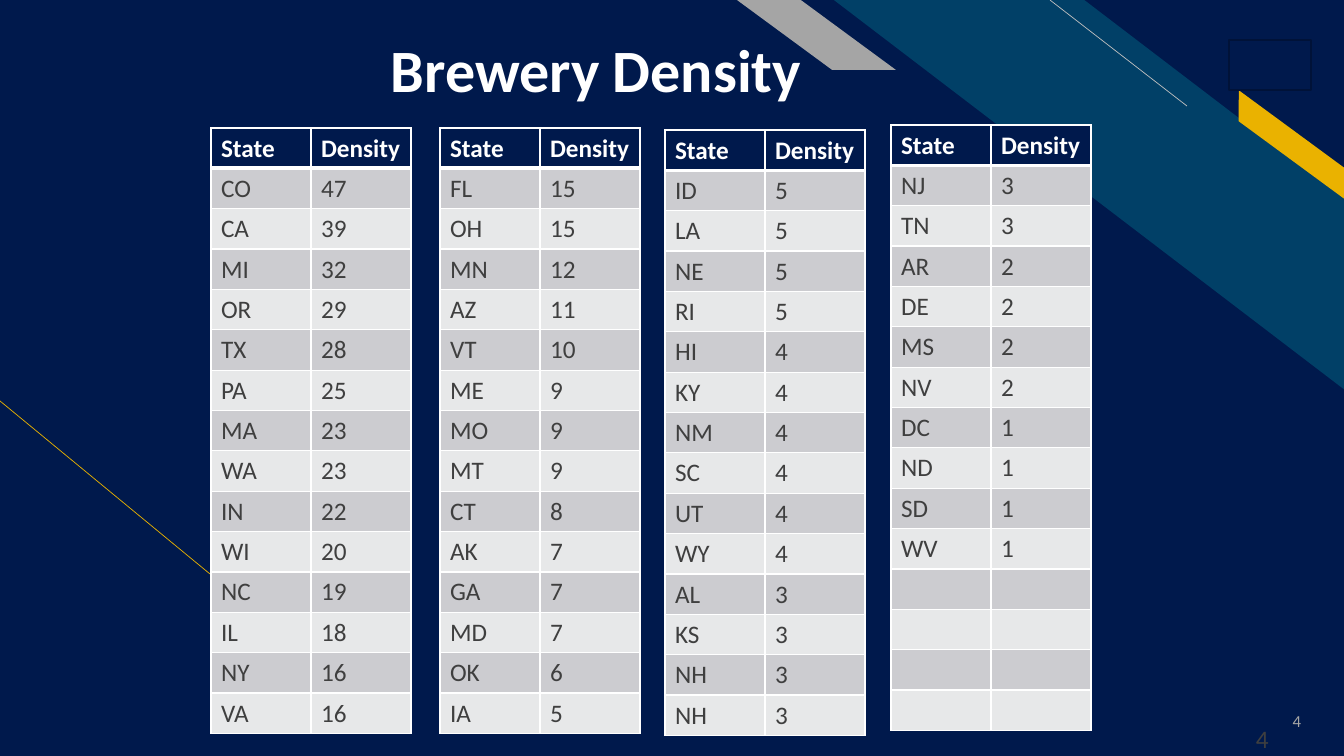
from dataclasses import dataclass

from lxml.etree import SubElement
from pptx import Presentation
from pptx.dml.color import RGBColor
from pptx.enum.shapes import MSO_CONNECTOR, MSO_SHAPE
from pptx.enum.text import MSO_ANCHOR, PP_ALIGN
from pptx.oxml import parse_xml
from pptx.oxml.ns import nsdecls, qn
from pptx.util import Emu, Pt

WIDTH, HEIGHT = 1344, 756
SCALE = 12192000 / WIDTH


@dataclass(frozen=True)
class Theme:
    font: str = "Calibri"
    navy: str = "00194C"
    navy_edge: str = "001238"
    teal: str = "014067"
    gold: str = "EAB200"
    gray: str = "A5A5A5"
    pale_gray: str = "BFBFBF"
    white: str = "FFFFFF"
    ink: str = "3F3F3F"
    bands: tuple = ("CCCCD0", "E7E8E9")
    title_size: float = 42.9
    body_size: float = 18
    number_size: float = 12
    hairline: float = 0.5
    border: float = 1
    header_rule: float = 3


def px(value):
    return Emu(round(value * SCALE))


def color(value):
    return RGBColor.from_string(value)


class SlideBuilder:
    def __init__(self, page, theme):
        self.page = page
        self.theme = theme

    def shape(self, kind, box, fill, adjust=None, flip=False, rotation=0, edge=None):
        shape = self.page.shapes.add_shape(kind, *map(px, box))
        shape.shadow.inherit = False
        shape.fill.solid()
        shape.fill.fore_color.rgb = color(fill)
        if edge:
            shape.line.color.rgb = color(edge)
            shape.line.width = Pt(self.theme.border)
        else:
            shape.line.fill.background()
        if adjust is not None:
            shape.adjustments[0] = adjust
        if flip:
            shape.element.spPr.xfrm.set("flipH", "1")
        shape.rotation = rotation

    def line(self, start, end, stroke):
        line = self.page.shapes.add_connector(
            MSO_CONNECTOR.STRAIGHT, *map(px, start + end))
        line.line.color.rgb = color(stroke)
        line.line.width = Pt(self.theme.hairline)
        SubElement(line.element.spPr, qn("a:effectLst"))

    def style(self, para, size, ink, bold=False):
        for span in para.runs:
            span.font.name = self.theme.font
            span.font.size = Pt(size)
            span.font.color.rgb = color(ink)
            span.font.bold = bold

    def text(self, box, words, size, ink, bold=False, anchor=MSO_ANCHOR.TOP):
        frame = self.page.shapes.add_textbox(*map(px, box)).text_frame
        frame.word_wrap = True
        frame.vertical_anchor = anchor
        frame.text = words
        para = frame.paragraphs[0]
        self.style(para, size, ink, bold)
        return frame, para

    def borders(self, cell, top, bottom):
        properties = cell._tc.get_or_add_tcPr()
        thin = self.theme.border
        sides = {"L": thin, "R": thin, "T": top, "B": bottom}
        for index, (side, width) in enumerate(sides.items()):
            properties.insert(index, parse_xml(
                f'<a:ln{side} {nsdecls("a")} w="{Pt(width)}"><a:solidFill>'
                f'<a:srgbClr val="{self.theme.white}"/></a:solidFill></a:ln{side}>'))

    def table(self, left, top, rows, column_width, row_height):
        theme = self.theme
        table = self.page.shapes.add_table(
            len(rows), 2, px(left), px(top),
            px(2 * column_width), px(len(rows) * row_height)).table
        table.horz_banding = False
        for column in table.columns:
            column.width = px(column_width)
        for row_index, values in enumerate(rows):
            header = row_index == 0
            fill = theme.navy if header else theme.bands[(row_index - 1) % 2]
            for column_index, value in enumerate(values):
                cell = table.cell(row_index, column_index)
                cell.fill.solid()
                cell.fill.fore_color.rgb = color(fill)
                cell.text_frame.text = value
                self.style(cell.text_frame.paragraphs[0], theme.body_size,
                           theme.white if header else theme.ink, header)
                self.borders(cell,
                             theme.header_rule if row_index == 1 else theme.border,
                             theme.header_rule if header else theme.border)


BODY_ROWS = 14
DENSITY_TABLES = [
    (211, 128, "CO 47, CA 39, MI 32, OR 29, TX 28, PA 25, MA 23, "
               "WA 23, IN 22, WI 20, NC 19, IL 18, NY 16, VA 16"),
    (440, 128, "FL 15, OH 15, MN 12, AZ 11, VT 10, ME 9, MO 9, "
               "MT 9, CT 8, AK 7, GA 7, MD 7, OK 6, IA 5"),
    (665, 130, "ID 5, LA 5, NE 5, RI 5, HI 4, KY 4, NM 4, "
               "SC 4, UT 4, WY 4, AL 3, KS 3, NH 3, NH 3"),
    (891, 125, "NJ 3, TN 3, AR 2, DE 2, MS 2, NV 2, DC 1, "
               "ND 1, SD 1, WV 1"),
]


def main():
    deck = Presentation()
    deck.slide_width, deck.slide_height = px(WIDTH), px(HEIGHT)
    theme = Theme()
    builder = SlideBuilder(deck.slides.add_slide(deck.slide_layouts[6]), theme)

    builder.shape(MSO_SHAPE.RECTANGLE, (0, 0, WIDTH, HEIGHT), theme.navy)
    builder.line((210, 574), (0, 401), theme.gold)
    builder.shape(MSO_SHAPE.DIAGONAL_STRIPE, (834, 0, 511, 390), theme.teal,
                  adjust=0.51, flip=True)
    builder.line((1187, 106), (1050, 0), theme.pale_gray)
    builder.shape(MSO_SHAPE.PARALLELOGRAM, (1217, 132, 149, 25), theme.gold,
                  adjust=0.72, flip=True, rotation=36.3)
    builder.shape(MSO_SHAPE.PARALLELOGRAM, (737, 0, 159, 70), theme.gray,
                  adjust=1.36, flip=True)

    frame, para = builder.text((1229, 701, 82, 40), "4", theme.number_size,
                               theme.gray, anchor=MSO_ANCHOR.MIDDLE)
    para.alignment = PP_ALIGN.RIGHT
    para.space_after = Pt(6)
    builder.text((1246, 718, 82, 40), "4", theme.body_size, theme.ink)
    builder.shape(MSO_SHAPE.RECTANGLE, (1229, 40, 82, 50), theme.navy,
                  edge=theme.navy_edge)

    frame, para = builder.text((381, 28, 565, 77), "Brewery Density",
                               theme.title_size, theme.white, bold=True,
                               anchor=MSO_ANCHOR.BOTTOM)
    frame.margin_bottom = 0
    para.line_spacing = 0.9

    for left, top, entries in DENSITY_TABLES:
        body = [entry.split() for entry in entries.split(", ")]
        padding = [["", ""]] * (BODY_ROWS - len(body))
        builder.table(left, top, [["State", "Density"]] + body + padding,
                      column_width=100, row_height=40)

    deck.save("out.pptx")


if __name__ == "__main__":
    main()
